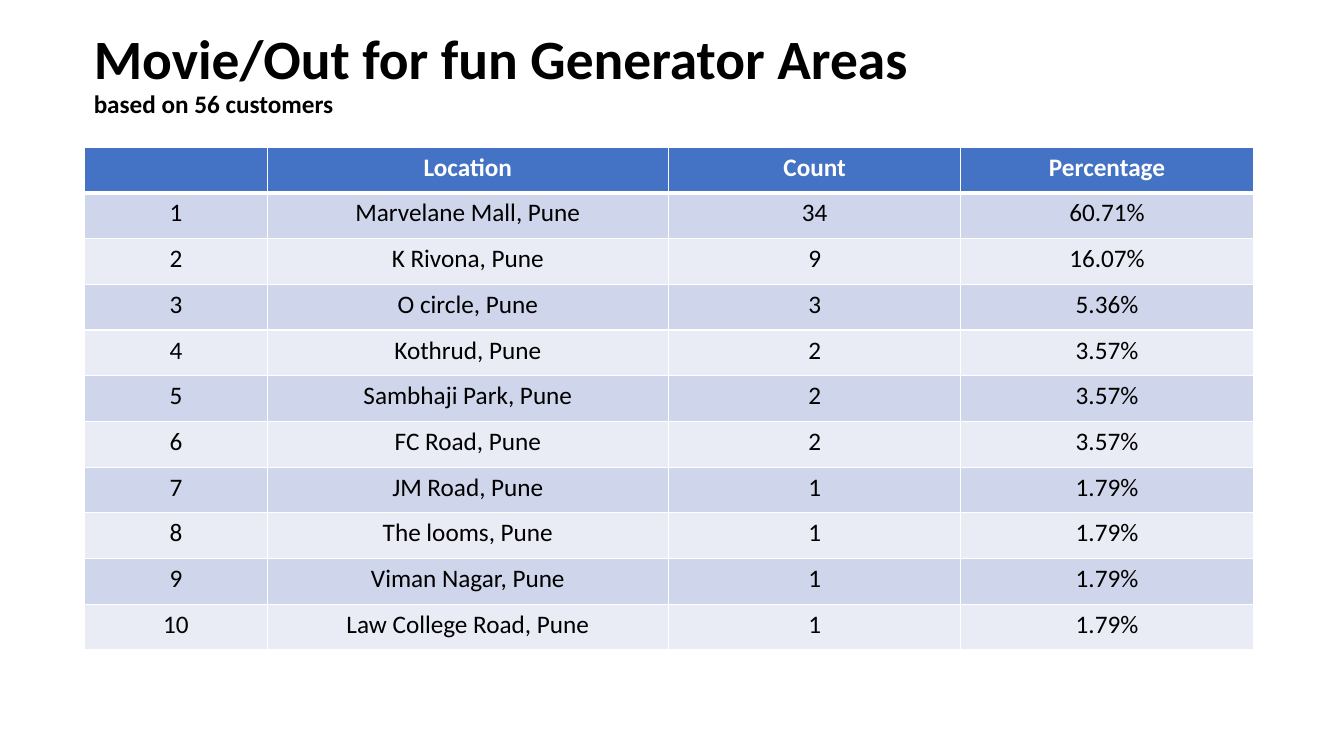
from lxml import etree
from pptx import Presentation
from pptx.dml.color import RGBColor
from pptx.enum.text import MSO_ANCHOR, MSO_AUTO_SIZE, PP_ALIGN
from pptx.oxml.ns import qn
from pptx.util import Inches, Pt

LEFT, CENTER = PP_ALIGN.LEFT, PP_ALIGN.CENTER
MIDDLE = MSO_ANCHOR.MIDDLE
NO_AUTOFIT = MSO_AUTO_SIZE.NONE

FONT = "Calibri"
BLACK, WHITE = "000000", "FFFFFF"
HEADER_BLUE = "4472C4"
BANDS = ("CFD5EA", "E9EBF5")

COLUMN_WIDTHS = (1.81, 3.98, 2.9, 2.9)
TABLE_HEIGHT = 4.99
HEADINGS = ("", "Location", "Count", "Percentage")
LOCATIONS = (
    ("Marvelane Mall, Pune", "34", "60.71%"),
    ("K Rivona, Pune", "9", "16.07%"),
    ("O circle, Pune", "3", "5.36%"),
    ("Kothrud, Pune", "2", "3.57%"),
    ("Sambhaji Park, Pune", "2", "3.57%"),
    ("FC Road, Pune", "2", "3.57%"),
    ("JM Road, Pune", "1", "1.79%"),
    ("The looms, Pune", "1", "1.79%"),
    ("Viman Nagar, Pune", "1", "1.79%"),
    ("Law College Road, Pune", "1", "1.79%"),
)


def rgb(color):
    return RGBColor.from_string(color)


def add_text(paragraph, text, size=18, color=BLACK, bold=False, align=CENTER):
    paragraph.alignment = align
    run = paragraph.add_run()
    run.text = text
    run.font.name = FONT
    run.font.size = Pt(size)
    run.font.bold = bold
    run.font.color.rgb = rgb(color)


def add_border(cell, side, width):
    properties = cell._tc.get_or_add_tcPr()
    line = etree.SubElement(properties, qn(f"a:ln{side}"), w=str(Pt(width)))
    fill = etree.SubElement(line, qn("a:solidFill"))
    etree.SubElement(fill, qn("a:srgbClr"), val=WHITE)


def fill_cell(cell, text, fill, top=1, bottom=1, **text_format):
    for side, width in (("L", 1), ("R", 1), ("T", top), ("B", bottom)):
        add_border(cell, side, width)
    cell.fill.solid()
    cell.fill.fore_color.rgb = rgb(fill)
    if text:
        add_text(cell.text_frame.paragraphs[0], text, **text_format)


def add_title(slide, heading, subtitle):
    title = slide.shapes.title
    title.left, title.top = Inches(0.83), Inches(0.28)
    title.width, title.height = Inches(11.5), Inches(0.94)
    frame = title.text_frame
    frame.auto_size = NO_AUTOFIT
    frame.word_wrap = True
    frame.vertical_anchor = MIDDLE
    paragraph = frame.paragraphs[0]
    paragraph.line_spacing = 0.9
    add_text(paragraph, heading, size=39.6, bold=True, align=LEFT)
    paragraph.add_line_break()
    add_text(paragraph, subtitle, bold=True, align=LEFT)


def add_location_table(slide):
    row_count = len(LOCATIONS) + 1
    table = slide.shapes.add_table(
        row_count, len(HEADINGS), Inches(0.84), Inches(1.46),
        Inches(sum(COLUMN_WIDTHS)), Inches(TABLE_HEIGHT)).table
    for column, width in zip(table.columns, COLUMN_WIDTHS):
        column.width = Inches(width)
    for row in table.rows:
        row.height = Inches(TABLE_HEIGHT / row_count)

    # Header row with a thick rule below it
    for column, heading in enumerate(HEADINGS):
        fill_cell(table.cell(0, column), heading, HEADER_BLUE, bottom=3,
                  color=WHITE, bold=True)

    # Numbered rows in alternating bands
    for rank, location in enumerate(LOCATIONS, start=1):
        for column, value in enumerate((str(rank), *location)):
            fill_cell(table.cell(rank, column), value, BANDS[(rank - 1) % 2],
                      top=3 if rank == 1 else 1)


def main():
    deck = Presentation()
    deck.slide_width, deck.slide_height = Inches(13.33), Inches(7.5)
    slide = deck.slides.add_slide(deck.slide_layouts[5])
    add_title(slide, "Movie/Out for fun Generator Areas", "based on 56 customers")
    add_location_table(slide)
    deck.save("out.pptx")


if __name__ == "__main__":
    main()
